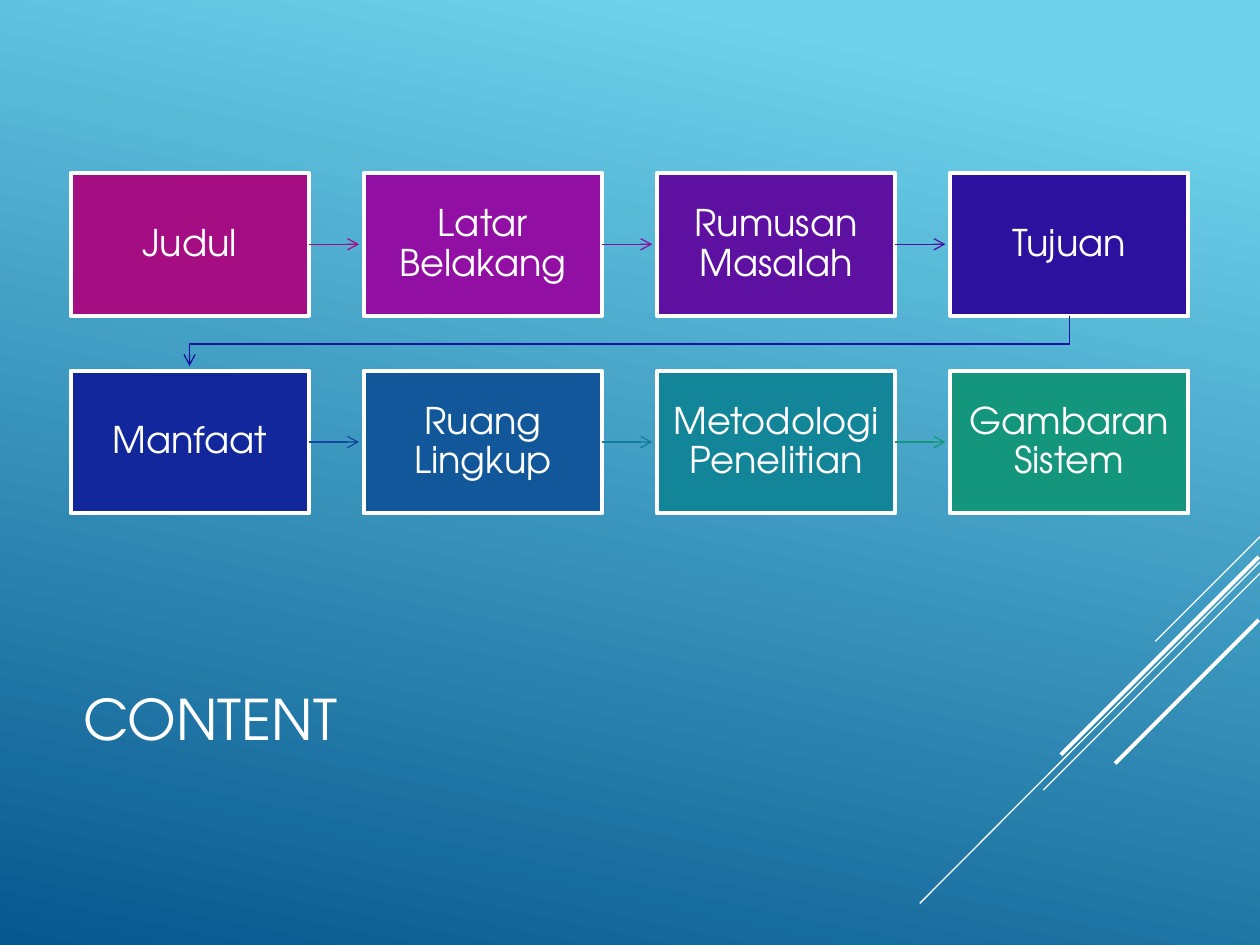
from dataclasses import dataclass
from lxml import etree
from pptx import Presentation
from pptx.dml.color import RGBColor
from pptx.enum.shapes import MSO_CONNECTOR, MSO_SHAPE
from pptx.enum.text import MSO_ANCHOR, MSO_AUTO_SIZE, PP_ALIGN
from pptx.oxml.ns import qn
from pptx.util import Pt

LINE = MSO_CONNECTOR.STRAIGHT
RECT = MSO_SHAPE.RECTANGLE
MIDDLE = MSO_ANCHOR.MIDDLE
NO_FIT = MSO_AUTO_SIZE.NONE
LEFT, CENTER = PP_ALIGN.LEFT, PP_ALIGN.CENTER


@dataclass(frozen=True)
class Theme:
    font: str = "TeX Gyre Adventor"
    white: str = "FFFFFF"
    light: str = "6ED2EB"
    dark: str = "06588E"
    title: float = 32
    label: float = 21
    thin: float = 0.75
    thick: float = 2.25


THEME = Theme()
COLS = 4
X, Y, W, H = 40.3, 98.8, 136.1, 81.6
STEP_X, STEP_Y = 167.55, 113
REACH = 28.8

STEPS = [
    ("Judul", "A50E82", "A50E82"),
    ("Latar Belakang", "920FA3", "890FA2"),
    ("Rumusan Masalah", "5E10A1", "4D10A0"),
    ("Tujuan", "2C119E", "13119D"),
    ("Manfaat", "12279C", "12479B"),
    ("Ruang Lingkup", "12579A", "137D98"),
    ("Metodologi Penelitian", "138598", "14967C"),
    ("Gambaran Sistem", "14967C", None),
]

STRIPES = [
    (720, 306.7, 660.2, 366.5, THEME.thin),
    (720, 321.1, 525.6, 516.2, THEME.thin),
    (720, 327.6, 596.2, 451.4, THEME.thin),
    (719.3, 318.2, 606.2, 431.3, THEME.thick),
    (719.3, 354.2, 637.2, 436.3, THEME.thick),
]


def rgb(color):
    return RGBColor.from_string(color)


def set_line(shape, color, width):
    shape.line.color.rgb = rgb(color)
    shape.line.width = Pt(width)


def set_text(shape, text, size, align):
    frame = shape.text_frame
    frame.text = text
    frame.word_wrap = True
    frame.auto_size = NO_FIT
    frame.vertical_anchor = MIDDLE
    para = frame.paragraphs[0]
    para.alignment = align
    para.line_spacing = 0.9
    font = para.runs[0].font
    font.name = THEME.font
    font.size = Pt(size)
    font.color.rgb = rgb(THEME.white)


def add_line(slide, x1, y1, x2, y2, color, width):
    line = slide.shapes.add_connector(LINE, Pt(x1), Pt(y1), Pt(x2), Pt(y2))
    set_line(line, color, width)
    etree.SubElement(line._element.spPr, qn("a:effectLst"))
    return line


def add_head(shape):
    tail = etree.SubElement(shape.line._get_or_add_ln(), qn("a:tailEnd"))
    tail.set("type", "arrow")


def add_bend(slide, points, color):
    spots = [(Pt(x), Pt(y)) for x, y in points]
    form = slide.shapes.build_freeform(*spots[0])
    form.add_line_segments(spots[1:], close=False)
    bend = form.convert_to_shape()
    bend.shadow.inherit = False
    bend.fill.background()
    set_line(bend, color, THEME.thin)
    add_head(bend)


def add_box(slide, x, y, text, color):
    box = slide.shapes.add_shape(RECT, Pt(x), Pt(y), Pt(W), Pt(H))
    box.shadow.inherit = False
    box.fill.solid()
    box.fill.fore_color.rgb = rgb(color)
    set_line(box, THEME.white, THEME.thick)
    set_text(box, text, THEME.label, CENTER)
    frame = box.text_frame
    frame.margin_left = frame.margin_right = Pt(6.5)
    frame.margin_top = frame.margin_bottom = Pt(7)


def add_flow(slide):
    for i, (text, fill, link) in enumerate(STEPS):
        row, col = divmod(i, COLS)
        x, y = X + col * STEP_X, Y + row * STEP_Y
        add_box(slide, x, y, text, fill)
        if link is None:
            continue
        if col < COLS - 1:
            start, mid = x + W, y + H / 2
            add_head(add_line(slide, start, mid, start + REACH, mid, link, THEME.thin))
        else:
            right, left, base = x + W / 2, X + W / 2, y + H
            turn, end = base + 16.2, base + REACH
            add_bend(slide, [(right, base), (right, turn), (left, turn), (left, end)], link)


def set_back(slide):
    fill = slide.background.fill
    fill.gradient()
    fill.gradient_angle = 258
    looks = [(0.1, THEME.light), (1, THEME.dark)]
    for stop, (place, color) in zip(fill.gradient_stops, looks):
        stop.position = place
        stop.color.rgb = rgb(color)


def set_title(slide, text):
    title = slide.shapes.title
    title.left, title.top = Pt(40.3), Pt(353.5)
    title.width, title.height = Pt(504), Pt(118.8)
    set_text(title, text, THEME.title, LEFT)


def main():
    deck = Presentation()
    deck.slide_width, deck.slide_height = Pt(720), Pt(540)
    slide = deck.slides.add_slide(deck.slide_layouts[5])
    set_back(slide)
    for x1, y1, x2, y2, width in STRIPES:
        add_line(slide, x1, y1, x2, y2, THEME.white, width)
    set_title(slide, "CONTENT")
    add_flow(slide)
    deck.save("out.pptx")


main()
